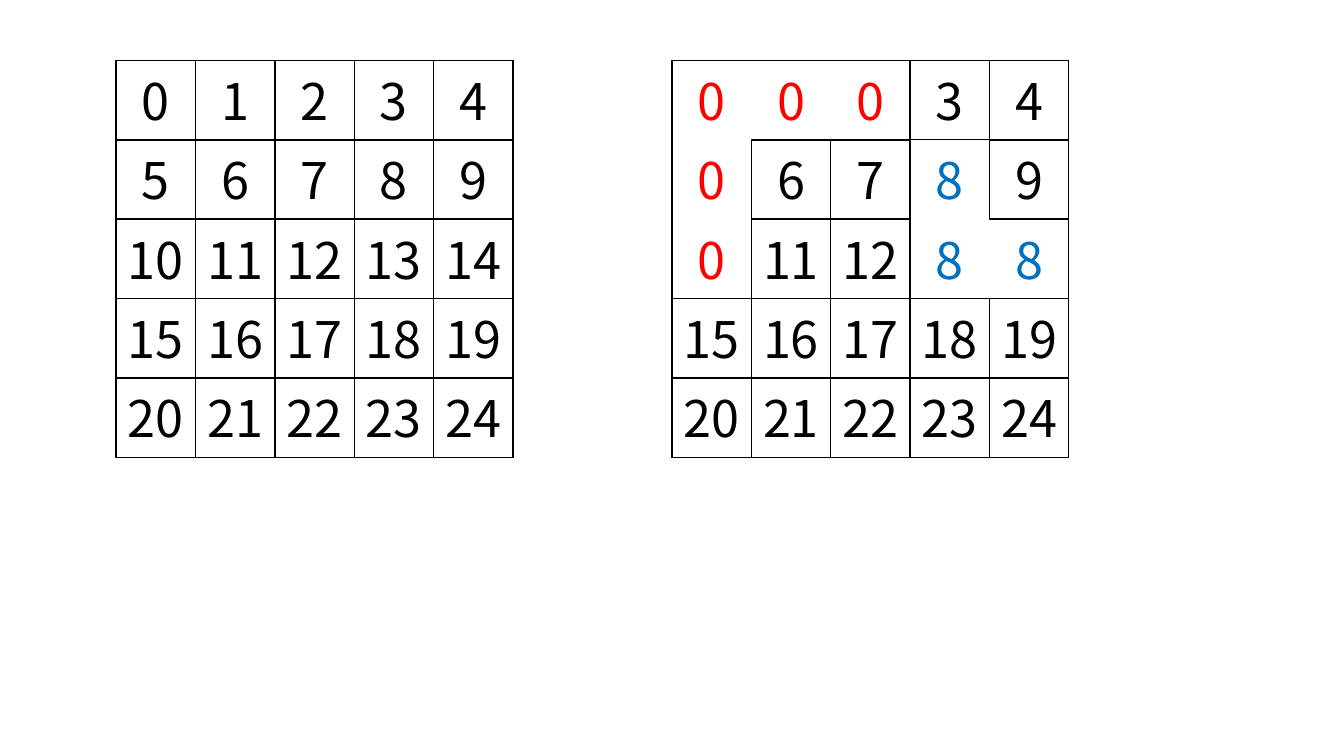
"""Draw two five-by-five number grids, the second with merged groups."""
from dataclasses import dataclass, field

from pptx import Presentation
from pptx import util as u
from pptx.dml.color import RGBColor
from pptx.enum import shapes, text


@dataclass(frozen=True)
class Theme:
    font: str = "Noto Sans CJK JP"
    size: float = 36
    line: float = 1
    black: str = "000000"
    white: str = "FFFFFF"
    red: str = "FF0000"
    blue: str = "0070C0"


@dataclass(frozen=True)
class Group:
    root: int
    cells: tuple[int, ...]
    ink: str
    edge: str | None


@dataclass(frozen=True)
class Grid:
    left: float
    groups: list[Group] = field(default_factory=list)
    frame_last: bool = False


LOOK = Theme()
COUNT = 5
SIDE = 56.69
TOP = 43.2
GRIDS = [
    Grid(83),
    Grid(480, [
        Group(0, (0, 1, 2, 5, 10), LOOK.red, LOOK.white),
        Group(8, (8, 13, 14), LOOK.blue, None),
    ], frame_last=True),
]


def write(shape, words: str, *, ink: str = LOOK.black, size: float = LOOK.size) -> None:
    frame = shape.text_frame
    frame.word_wrap = True
    frame.auto_size = text.MSO_AUTO_SIZE.NONE
    frame.vertical_anchor = text.MSO_ANCHOR.MIDDLE
    frame.margin_left = frame.margin_right = u.Pt(0)
    frame.margin_top = frame.margin_bottom = u.Pt(0)
    par = frame.paragraphs[0]
    par.alignment = text.PP_ALIGN.CENTER
    run = par.add_run()
    run.text = words
    run.font.name = LOOK.font
    run.font.size = u.Pt(size)
    run.font.color.rgb = RGBColor.from_string(ink)


def box(slide, left: float, top: float, side: float, edge: str | None):
    place = [u.Pt(n) for n in (left, top, side, side)]
    if edge is None:
        return slide.shapes.add_textbox(*place)
    shape = slide.shapes.add_shape(shapes.MSO_SHAPE.RECTANGLE, *place)
    shape.shadow.inherit = False
    shape.fill.background()
    shape.line.color.rgb = RGBColor.from_string(edge)
    shape.line.width = u.Pt(LOOK.line)
    return shape


def draw(slide, grid: Grid) -> None:
    owner = {cell: group for group in grid.groups for cell in group.cells}
    if not grid.frame_last:
        box(slide, grid.left, TOP, COUNT * SIDE, LOOK.black)
    for cell in range(COUNT * COUNT):
        row, col = divmod(cell, COUNT)
        group = owner.get(cell, Group(cell, (cell,), LOOK.black, LOOK.black))
        shape = box(slide, grid.left + col * SIDE, TOP + row * SIDE, SIDE, group.edge)
        write(shape, str(group.root), ink=group.ink)
    if grid.frame_last:
        box(slide, grid.left, TOP, COUNT * SIDE, LOOK.black)


def main() -> None:
    deck = Presentation()
    deck.slide_width, deck.slide_height = u.Pt(960), u.Pt(540)
    slide = deck.slides.add_slide(deck.slide_layouts[6])
    for grid in GRIDS:
        draw(slide, grid)
    deck.save("out.pptx")


if __name__ == "__main__":
    main()
